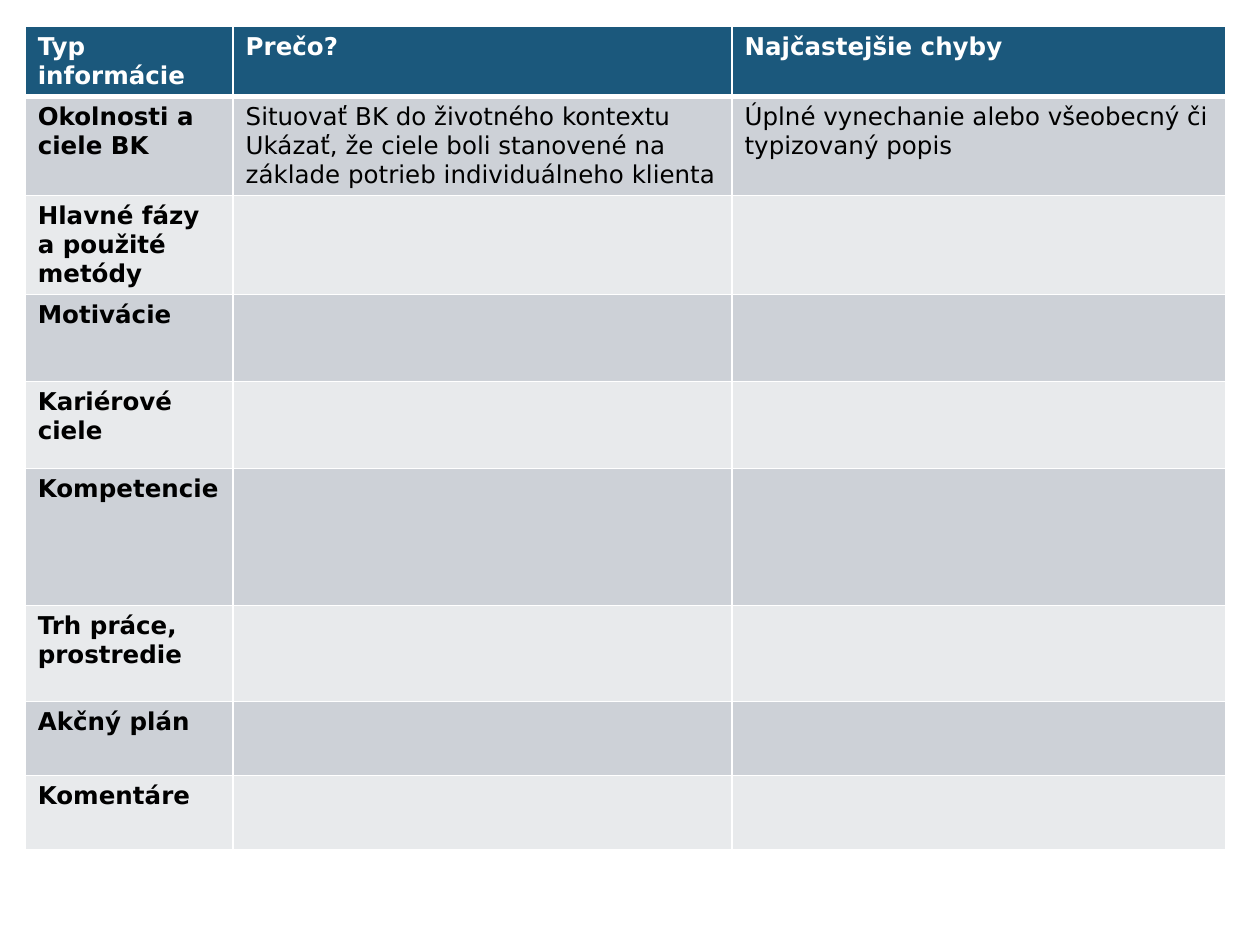
from lxml import etree
from pptx import Presentation, util as u
from pptx.dml.color import RGBColor
from pptx.oxml.ns import qn

HUES = {"head": "1B587C", "odd": "CDD1D7", "even": "E8EAEC",
        "line": "FFFFFF", "light": "FFFFFF", "dark": "000000"}
FONT = {"name": "DejaVu Sans", "size": u.Pt(14)}
COLS = [1.65, 3.96, 3.92]
ROWS = [
    (0.49, ["Typ informácie", "Prečo?", "Najčastejšie chyby"]),
    (0.69, ["Okolnosti a ciele BK",
            "Situovať BK do životného kontextu\n"
            "Ukázať, že ciele boli stanovené na základe potrieb individuálneho klienta",
            "Úplné vynechanie alebo všeobecný či typizovaný popis"]),
    (0.69, ["Hlavné fázy a použité metódy"]),
    (0.69, ["Motivácie"]),
    (0.69, ["Kariérové ciele"]),
    (1.09, ["Kompetencie"]),
    (0.76, ["Trh práce, prostredie"]),
    (0.59, ["Akčný plán"]),
    (0.59, ["Komentáre"]),
]


def rgb(key):
    return RGBColor.from_string(HUES[key])


def write(cell, words, bold, hue):
    cell.text = words
    for para in cell.text_frame.paragraphs:
        for run in para.runs:
            for key, val in {**FONT, "bold": bold}.items():
                setattr(run.font, key, val)
            run.font.color.rgb = rgb(hue)


def edge(cell, sides):
    props = cell._tc.get_or_add_tcPr()
    for spot, (side, width) in enumerate(sides.items()):
        line = etree.Element(qn(f"a:ln{side}"), w=str(u.Pt(width)))
        fill = etree.SubElement(line, qn("a:solidFill"))
        etree.SubElement(fill, qn("a:srgbClr"), val=HUES["line"])
        props.insert(spot, line)


def paint(cell, hue):
    cell.fill.solid()
    cell.fill.fore_color.rgb = rgb(hue)


def grid(slide, left, top):
    high = [row[0] for row in ROWS]
    size = [u.Inches(n) for n in (left, top, sum(COLS), sum(high))]
    table = slide.shapes.add_table(len(ROWS), len(COLS), *size).table
    for col, width in zip(table.columns, COLS):
        col.width = u.Inches(width)
    for r, (tall, words) in enumerate(ROWS):
        table.rows[r].height = u.Inches(tall)
        head = r == 0
        band = "head" if head else "odd" if r % 2 else "even"
        for c in range(len(COLS)):
            cell = table.cell(r, c)
            if c < len(words):
                write(cell, words[c], head or c == 0, "light" if head else "dark")
            paint(cell, band)
            edge(cell, {"L": 1, "R": 1, "T": 3 if r == 1 else 1, "B": 3 if head else 1})


def main():
    deck = Presentation()
    deck.slide_width, deck.slide_height = u.Inches(10), u.Inches(7.5)
    slide = deck.slides.add_slide(deck.slide_layouts[6])
    grid(slide, 0.2, 0.21)
    deck.save("out.pptx")


if __name__ == "__main__":
    main()
